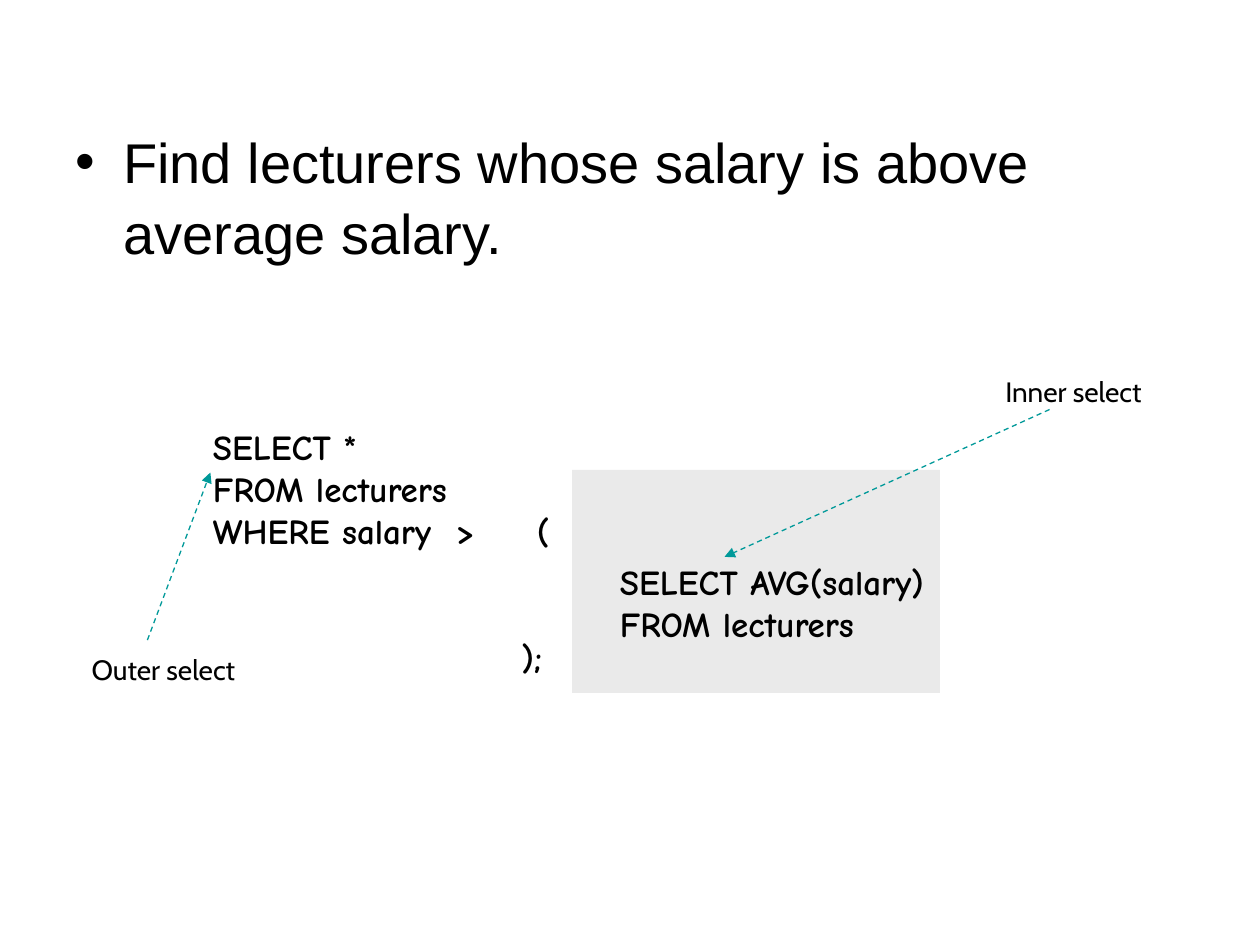
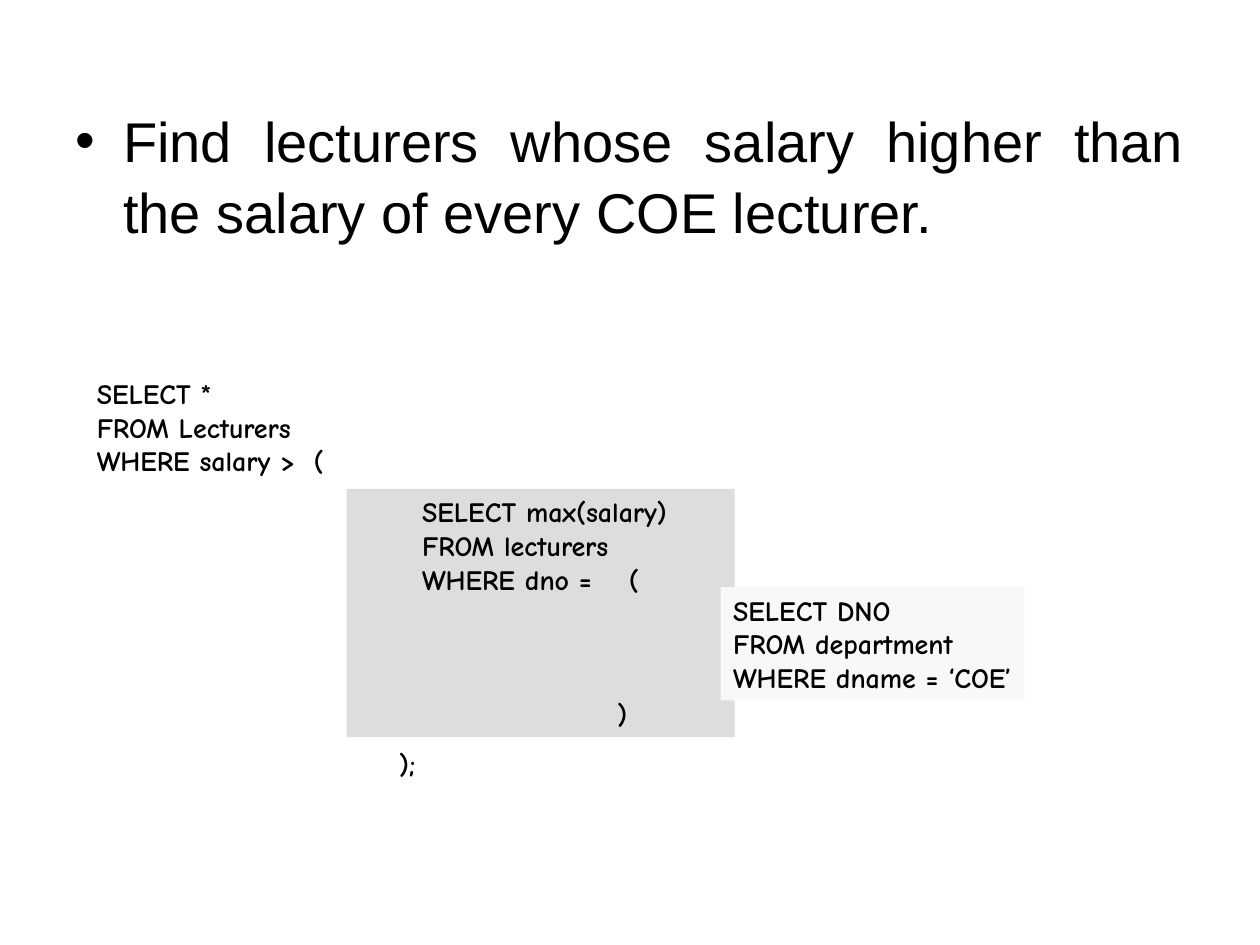
from dataclasses import dataclass

from pptx import Presentation
from pptx.dml.color import RGBColor
from pptx.enum.dml import MSO_LINE
from pptx.enum.shapes import MSO_CONNECTOR, MSO_SHAPE
from pptx.enum.text import MSO_ANCHOR, PP_ALIGN
from pptx.oxml.ns import qn
from pptx.util import Inches, Pt
from lxml.etree import SubElement


@dataclass(frozen=True)
class Theme:
    ink: RGBColor = RGBColor(0x00, 0x00, 0x00)
    arrow: RGBColor = RGBColor(0x00, 0x99, 0x99)
    light_grey: RGBColor = RGBColor(0xEA, 0xEA, 0xEA)
    mid_grey: RGBColor = RGBColor(0xDD, 0xDD, 0xDD)
    pale_grey: RGBColor = RGBColor(0xF8, 0xF8, 0xF8)
    question_font: str = "Arial"
    code_font: str = "Comic Neue"
    label_font: str = "Cabin"
    question_size: int = 32
    large_code: int = 20
    small_code: int = 16
    label_size: int = 16
    code_leading: float = 1.2
    question_leading: float = 1.06


THEME = Theme()


@dataclass(frozen=True)
class Line:
    """A code line; skip counts the empty lines above it."""
    text: str
    indent: float = 0
    skip: int = 0
    tabs: tuple = ()


def prepare_frame(box, left=0.1, top=0.05, right=0.0):
    frame = box.text_frame
    frame.word_wrap = True
    frame.vertical_anchor = MSO_ANCHOR.TOP
    frame.margin_left, frame.margin_top = Inches(left), Inches(top)
    frame.margin_right, frame.margin_bottom = Inches(right), Inches(0.05)
    return frame


def add_span(para, text, font, size, bold=False):
    span = para.add_run()
    span.text = text
    span.font.name, span.font.size, span.font.bold = font, Pt(size), bold
    span.font.color.rgb = THEME.ink


def add_text_box(page, area):
    return page.shapes.add_textbox(*map(Inches, area))


# Bulleted question at the top of each slide
def add_question(page, area, text, align=PP_ALIGN.LEFT):
    frame = prepare_frame(add_text_box(page, area), top=0.06, right=0.1)
    para = frame.paragraphs[0]
    props = para._p.get_or_add_pPr()
    props.set("marL", str(Inches(0.38)))
    props.set("indent", str(Inches(-0.38)))
    SubElement(props, qn("a:buFont"), typeface=THEME.question_font)
    SubElement(props, qn("a:buChar"), char="•")
    para.alignment = align
    para.line_spacing = THEME.question_leading
    add_span(para, text, THEME.question_font, THEME.question_size)


# SQL text, on a filled panel when a fill is given
def add_code(page, area, lines, size, fill=None, left=0.1, top=0.05):
    if fill is None:
        box = add_text_box(page, area)
    else:
        box = page.shapes.add_shape(MSO_SHAPE.RECTANGLE, *map(Inches, area))
        box.shadow.inherit = False
        box.fill.solid()
        box.fill.fore_color.rgb = fill
        box.line.fill.background()
    frame = prepare_frame(box, left, top)
    for number, line in enumerate(lines):
        para = frame.paragraphs[0] if number == 0 else frame.add_paragraph()
        props = para._p.get_or_add_pPr()
        props.set("marL", str(Inches(line.indent)))
        if line.tabs:
            stops = SubElement(props, qn("a:tabLst"))
            for stop in line.tabs:
                SubElement(stops, qn("a:tab"), pos=str(Inches(stop)), algn="l")
        para.alignment = PP_ALIGN.LEFT
        if line.skip:
            para.space_before = Pt(line.skip * size * THEME.code_leading)
        add_span(para, line.text, THEME.code_font, size, bold=True)


# Label with a dashed arrow to the query it names
def add_callout(page, area, text, start, end):
    frame = prepare_frame(add_text_box(page, area))
    add_span(frame.paragraphs[0], text, THEME.label_font, THEME.label_size)
    arrow = page.shapes.add_connector(
        MSO_CONNECTOR.STRAIGHT, *map(Inches, (*start, *end)))
    arrow.line.color.rgb = THEME.arrow
    arrow.line.width = Pt(0.75)
    arrow.line.dash_style = MSO_LINE.DASH
    SubElement(arrow.line._get_or_add_ln(), qn("a:tailEnd"), type="triangle")
    SubElement(arrow._element.spPr, qn("a:effectLst"))


def build_average_slide(page):
    add_question(page, (0.5, 0.92, 9, 4.95),
                 "Find lecturers whose salary is above average salary.")
    # Inner query
    add_code(page, (4.54, 3.73, 2.92, 1.77),
             [Line("SELECT AVG(salary)"), Line("FROM lecturers")],
             THEME.large_code, THEME.light_grey, left=0.38, top=0.72)
    # Outer query
    add_code(page, (1.5, 3.33, 5.58, 2.44),
             [Line("SELECT *"), Line("FROM lecturers"),
              Line("WHERE salary\t>\t(", tabs=(1.93, 2.57)),
              Line(");", indent=2.45, skip=2)],
             THEME.large_code, left=0.19)
    add_callout(page, (7.88, 2.92, 1.42, 0.37), "Inner select",
                (8.33, 3.25), (5.75, 4.42))
    add_callout(page, (0.63, 5.13, 1.46, 0.37), "Outer select",
                (1.17, 5.08), (1.67, 3.75))


def build_nested_slide(page):
    add_question(page, (0.5, 0.75, 9, 6.17),
                 "Find lecturers whose salary higher than the salary of every COE lecturer.",
                 PP_ALIGN.JUSTIFY)
    # Middle query
    add_code(page, (2.75, 3.88, 3.08, 1.97),
             [Line("SELECT max(salary)"), Line("FROM lecturers"),
              Line("WHERE dno =\t(", tabs=(1.64,)),
              Line(")", indent=1.55, skip=3)],
             THEME.small_code, THEME.mid_grey, left=0.6)
    # Outer query
    add_code(page, (0.67, 2.94, 3.73, 3.3),
             [Line("SELECT *"), Line("FROM Lecturers"),
              Line("WHERE salary >\t(", tabs=(1.72,)),
              Line(");", indent=2.4, skip=8)],
             THEME.small_code)
    # Innermost query
    add_code(page, (5.72, 4.66, 2.41, 0.9),
             [Line("SELECT DNO"), Line("FROM department"),
              Line("WHERE dname = ‘COE’")],
             THEME.small_code, THEME.pale_grey)


def main():
    deck = Presentation()
    deck.slide_width, deck.slide_height = Inches(10), Inches(7.5)
    for build in (build_average_slide, build_nested_slide):
        build(deck.slides.add_slide(deck.slide_layouts[6]))
    deck.save("out.pptx")


if __name__ == "__main__":
    main()
